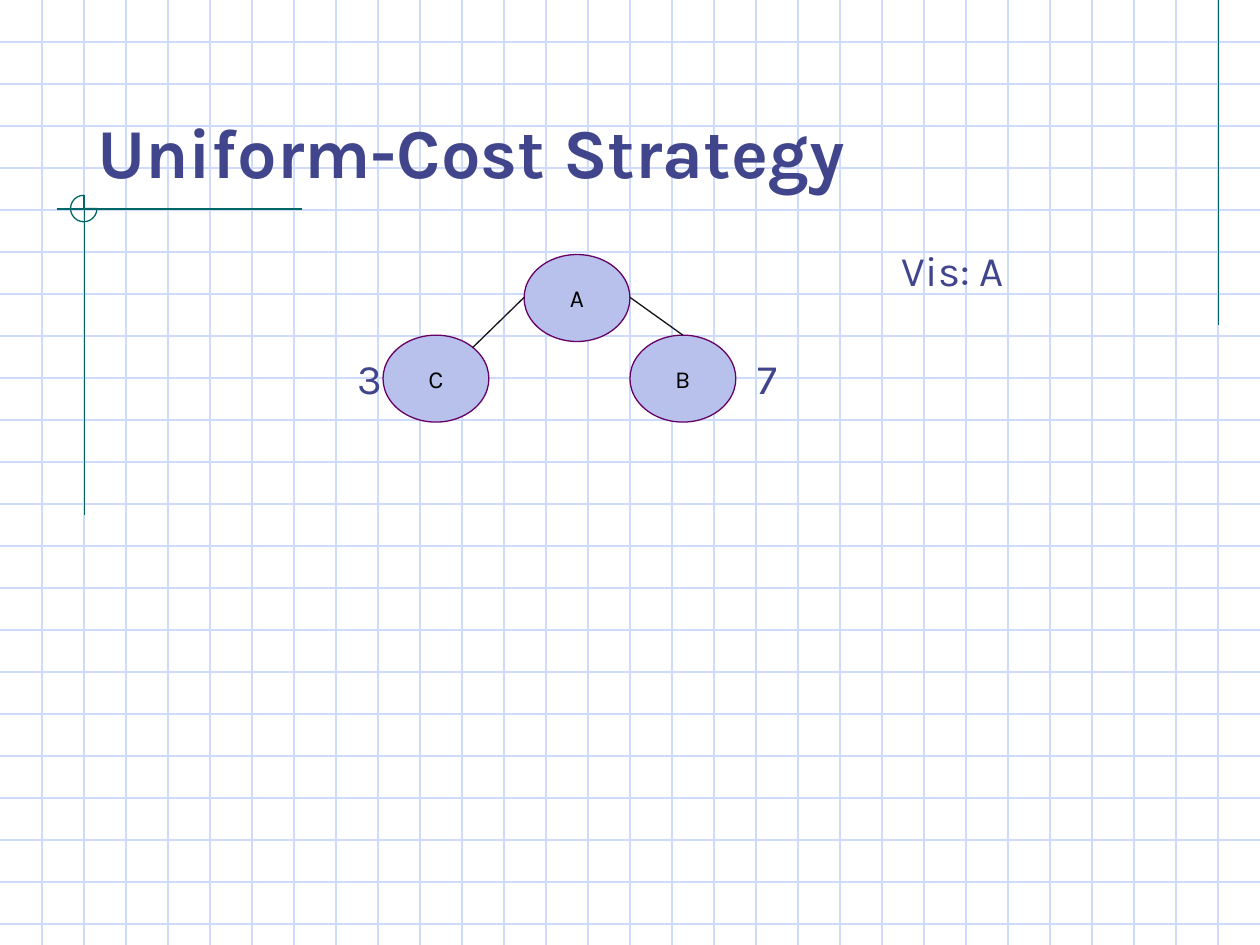
import lxml.etree
import pptx
import pptx.dml.color
import pptx.enum.shapes
import pptx.enum.text
import pptx.oxml.ns
import pptx.util

RGBColor = pptx.dml.color.RGBColor
Inches = pptx.util.Inches
Anchor = pptx.enum.text.MSO_ANCHOR
Align = pptx.enum.text.PP_ALIGN
AutoSize = pptx.enum.text.MSO_AUTO_SIZE
Preset = pptx.enum.shapes.MSO_SHAPE

WHITE = RGBColor(0xFF, 0xFF, 0xFF)
BLACK = RGBColor(0x00, 0x00, 0x00)
INK = RGBColor(0x13, 0x14, 0x17)
INDIGO = RGBColor(0x40, 0x45, 0x8C)
GRID_BLUE = RGBColor(0xCF, 0xDB, 0xFD)
TEAL = RGBColor(0x00, 0x66, 0x66)
NODE_FILL = RGBColor(0xB7, 0xC1, 0xEB)
PURPLE = RGBColor(0x66, 0x00, 0x66)

WIDTH, HEIGHT = 10, 7.5
NODE_WIDTH, NODE_HEIGHT = 0.84, 0.69


def write_text(shape, text, size, color, bold=False, align=Align.LEFT,
               anchor=Anchor.TOP, vertical_inset=0.1, auto_size=AutoSize.NONE):
    frame = shape.text_frame
    frame.word_wrap = True
    frame.auto_size = auto_size
    frame.vertical_anchor = anchor
    frame.margin_left = frame.margin_right = Inches(0.1)
    frame.margin_top = frame.margin_bottom = Inches(vertical_inset)
    paragraph = frame.paragraphs[0]
    paragraph.alignment = align
    run = paragraph.add_run()
    run.text = text
    run.font.name = "Karla"
    run.font.size = pptx.util.Pt(size)
    run.font.bold = bold
    run.font.color.rgb = color


class SlideBuilder:
    line_width = pptx.util.Pt(0.75)

    def __init__(self, presentation):
        self.slide = presentation.slides.add_slide(presentation.slide_layouts[5])
        self.slide.background.fill.solid()
        self.slide.background.fill.fore_color.rgb = WHITE

    def title(self, text, left, top, width, height):
        title = self.slide.shapes.title
        title.left, title.top = Inches(left), Inches(top)
        title.width, title.height = Inches(width), Inches(height)
        write_text(title, text, 40, INDIGO, bold=True,
                   anchor=Anchor.BOTTOM, vertical_inset=0.05)
        title.element.getparent().append(title.element)

    def line(self, start, end, color):
        connector = self.slide.shapes.add_connector(
            pptx.enum.shapes.MSO_CONNECTOR.STRAIGHT,
            *(Inches(value) for value in (*start, *end)))
        connector.line.color.rgb = color
        connector.line.width = self.line_width
        lxml.etree.SubElement(connector.element.spPr, pptx.oxml.ns.qn("a:effectLst"))

    def shape(self, preset, left, top, width, height, line_color, fill_color=None):
        shape = self.slide.shapes.add_shape(
            preset, Inches(left), Inches(top), Inches(width), Inches(height))
        shape.shadow.inherit = False
        if fill_color is None:
            shape.fill.background()
        else:
            shape.fill.solid()
            shape.fill.fore_color.rgb = fill_color
        shape.line.color.rgb = line_color
        shape.line.width = self.line_width
        return shape

    def node(self, text, left, top):
        node = self.shape(Preset.OVAL, left, top, NODE_WIDTH, NODE_HEIGHT,
                          PURPLE, NODE_FILL)
        write_text(node, text, 14, BLACK, align=Align.CENTER, anchor=Anchor.MIDDLE)

    def label(self, text, left, top, width):
        box = self.slide.shapes.add_textbox(
            Inches(left), Inches(top), Inches(width), Inches(0.61))
        write_text(box, text, 24, INDIGO, auto_size=AutoSize.SHAPE_TO_FIT_TEXT)

    def grid(self):
        for row in range(1, 23):
            self.line((0, row / 3), (WIDTH, row / 3), GRID_BLUE)
        for column in range(1, 30):
            self.line((column / 3, 0), (column / 3, HEIGHT), GRID_BLUE)

    def ornament(self):
        self.line((9.67, 0), (9.67, 2.58), TEAL)
        self.line((2.4, 1.66), (0.45, 1.66), TEAL)
        self.line((0.67, 1.55), (0.67, 4.09), TEAL)
        self.shape(Preset.PIE, 0.56, 1.55, 0.21, 0.21, TEAL)


def main():
    presentation = pptx.Presentation()
    presentation.slide_width = Inches(WIDTH)
    presentation.slide_height = Inches(HEIGHT)

    builder = SlideBuilder(presentation)
    builder.grid()
    builder.ornament()
    builder.title("Uniform-Cost Strategy", 0.67, 0.33, 8.5, 1.25)

    for name, left, top in (("C", 3.04, 2.66), ("A", 4.16, 2.02), ("B", 5, 2.66)):
        builder.node(name, left, top)
    builder.line((3.75, 2.76), (4.16, 2.36), INK)
    builder.line((5, 2.36), (5.42, 2.66), INK)

    builder.label("3", 2.74, 2.7, 0.72)
    builder.label("7", 5.91, 2.7, 0.72)
    builder.label("Vis: A", 7.06, 1.84, 1.97)

    presentation.save("out.pptx")


if __name__ == "__main__":
    main()
